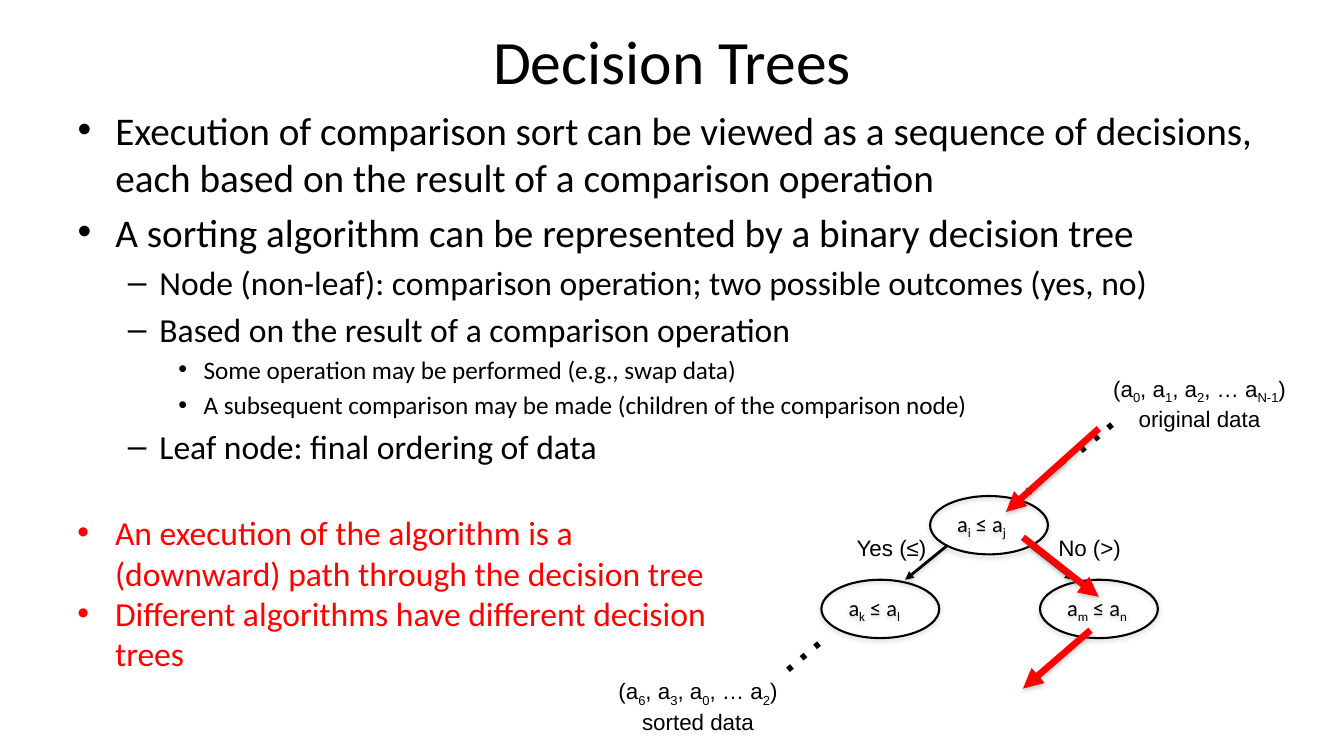
import pptx
import pptx.util
import pptx.dml.color
import pptx.enum.shapes
import pptx.enum.text
import pptx.oxml

Cm, Pt = pptx.util.Cm, pptx.util.Pt
RGB = pptx.dml.color.RGBColor.from_string
ALIGN = pptx.enum.text.PP_ALIGN
ANCHOR = pptx.enum.text.MSO_ANCHOR
SIZE = pptx.enum.text.MSO_AUTO_SIZE
SHAPE = pptx.enum.shapes.MSO_SHAPE
LINE = pptx.enum.shapes.MSO_CONNECTOR.STRAIGHT
NS = 'xmlns:a="http://schemas.openxmlformats.org/drawingml/2006/main"'

# Content: lengths in cm; every second piece between bars is a subscript
COLORS = {"ink": "000000", "path": "FF0000", "shade": "808080"}
TITLE = "Decision Trees"
POINTS = [
    (0, "Execution of comparison sort can be viewed as a sequence of decisions, "
        "each based on the result of a comparison operation"),
    (0, "A sorting algorithm can be represented by a binary decision tree"),
    (1, "Node (non-leaf): comparison operation; two possible outcomes (yes, no)"),
    (1, "Based on the result of a comparison operation"),
    (2, "Some operation may be performed (e.g., swap data)"),
    (2, "A subsequent comparison may be made (children of the comparison node)"),
    (1, "Leaf node: final ordering of data"),
]
SIZES = (28, 24, 18)
NOTES = [
    "An execution of the algorithm is a (downward) path through the decision tree",
    "Different algorithms have different decision trees",
]
DATA = [
    ((15.24, 16.94, 4.7, 1.63), ["(a|6|, a|3|, a|0|, … a|2|)", "sorted data"]),
    ((27.69, 9.32, 5.08, 1.63), ["(a|0|, a|1|, a|2|, … a|N-1|)", "original data"]),
]
ANSWERS = [
    ((21.34, 13.34, 2.29, 0.94), "Yes (≤)"),
    ((26.42, 13.34, 2.11, 0.94), "No (>)"),
]
NODES = [
    (23.44, 12.5, "a|i| ≤ a|j|"),
    (20.7, 14.61, "a|k| ≤ a|l|"),
    (26.21, 14.61, "a|m| ≤ a|n|"),
]
DOTS = [(26.39, 9.7, 1.93, 1.96), (19, 15.21, 1.93, 1.96)]
EDGES = [
    (23.88, 13.74, 22.81, 14.61),
    (25.98, 13.77, 27.05, 14.61),
    (26.85, 11.63, 25.78, 12.5),
]
PATH = [
    (27.69, 10.8, 25.35, 12.9),
    (25.78, 13.54, 27.69, 15.04),
    (27.48, 15.88, 25.78, 17.35),
]


def write(para, text, size=16, font="Arial", color="ink", align=None, bullet=False):
    if bullet:
        props = para._p.get_or_add_pPr()
        props.set("marL", str(Cm(0.95)))
        props.set("indent", str(Cm(-0.95)))
        props.append(pptx.oxml.parse_xml(f'<a:buFont {NS} typeface="Arial"/>'))
        props.append(pptx.oxml.parse_xml(f'<a:buChar {NS} char="•"/>'))
    if align is not None:
        para.alignment = align
    for i, piece in enumerate(text.split("|")):
        run = para.add_run()
        run.text = piece
        run.font.size = Pt(size)
        run.font.name = font
        run.font.color.rgb = RGB(COLORS[color])
        if i % 2:
            run._r.get_or_add_rPr().set("baseline", "-25000")


def fill(frame, lines, **style):
    for i, line in enumerate(lines):
        para = frame.add_paragraph() if i else frame.paragraphs[0]
        write(para, line, **style)


def place(shape, box):
    shape.left, shape.top, shape.width, shape.height = map(Cm, box)


def label(box, lines, wrap=False, **style):
    shape = slide.shapes.add_textbox(*map(Cm, box))
    shape.text_frame.word_wrap = wrap
    shape.text_frame.auto_size = SIZE.SHAPE_TO_FIT_TEXT
    fill(shape.text_frame, lines, **style)
    return shape


def shade(shape, alpha, dist):
    shape._element.spPr.append(pptx.oxml.parse_xml(
        f'<a:effectLst {NS}><a:outerShdw blurRad="{Pt(3.1)}" dist="{Pt(dist)}" '
        f'dir="5400000" rotWithShape="0"><a:srgbClr val="{COLORS["shade"]}">'
        f'<a:alpha val="{alpha * 1000}"/></a:srgbClr></a:outerShdw></a:effectLst>'))


def arrow(ends, color, width):
    line = slide.shapes.add_connector(LINE, *map(Cm, ends))
    line.line.color.rgb = RGB(COLORS[color])
    line.line.width = Pt(width)
    line.line._get_or_add_ln().append(
        pptx.oxml.parse_xml(f'<a:tailEnd {NS} type="triangle"/>'))
    shade(line, 38, 1.6)


deck = pptx.Presentation()
deck.slide_width, deck.slide_height = Cm(33.87), Cm(19.05)
slide = deck.slides.add_slide(deck.slide_layouts[1])

# Title and main list
title, body = slide.placeholders
place(title, (5.51, -0.08, 22.86, 3.18))
title.text_frame.auto_size = SIZE.NONE
title.text_frame.vertical_anchor = ANCHOR.MIDDLE
fill(title.text_frame, [TITLE], size=44, font="Calibri", align=ALIGN.CENTER)

place(body, (1.7, 2.54, 30.48, 8.05))
body.text_frame.auto_size = SIZE.NONE
for i, (level, text) in enumerate(POINTS):
    para = body.text_frame.add_paragraph() if i else body.text_frame.paragraphs[0]
    para.level = level
    para.space_before = Pt(SIZES[level] * 0.2 if i else 0)
    write(para, text, size=SIZES[level], font="Calibri")

# Decision tree
for box, lines in DATA:
    label(box, lines, align=ALIGN.CENTER)
for left, top, text in NODES:
    node = slide.shapes.add_shape(SHAPE.OVAL, *map(Cm, (left, top, 2.97, 1.47)))
    node.fill.background()
    node.line.color.rgb = RGB(COLORS["ink"])
    node.line.width = Pt(1.5)
    shade(node, 35, 1.8)
    node.text_frame.vertical_anchor = ANCHOR.MIDDLE
    fill(node.text_frame, [text], font="Calibri", align=ALIGN.LEFT)
for ends in EDGES:
    arrow(ends, "ink", 2)
for box, text in ANSWERS:
    label(box, [text])
for box in DOTS:
    label(box, ["…"], size=40).rotation = 319.9

# Remarks and the path taken
label((1.7, 12.78, 16.46, 4.37), NOTES, wrap=True, size=24, font="Calibri",
      color="path", bullet=True)
for ends in PATH:
    arrow(ends, "path", 4.75)

deck.save("out.pptx")
